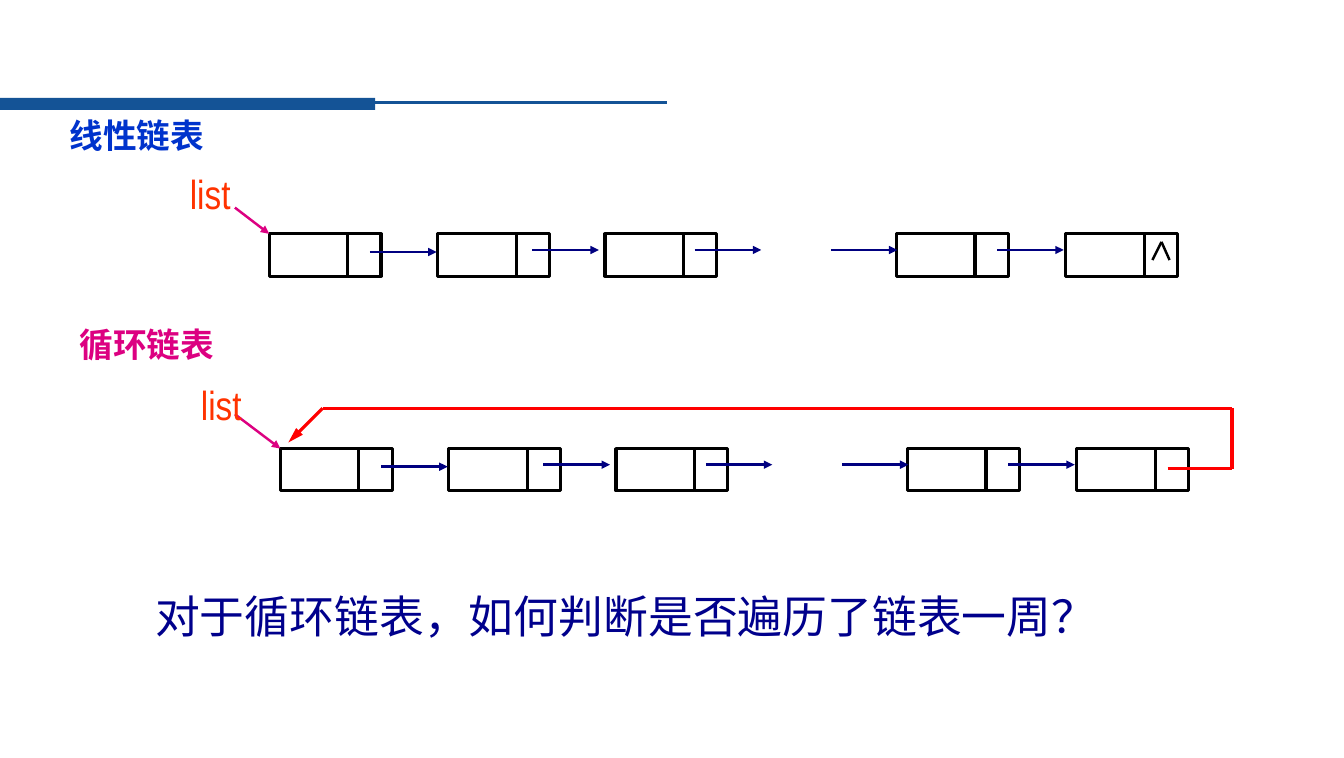
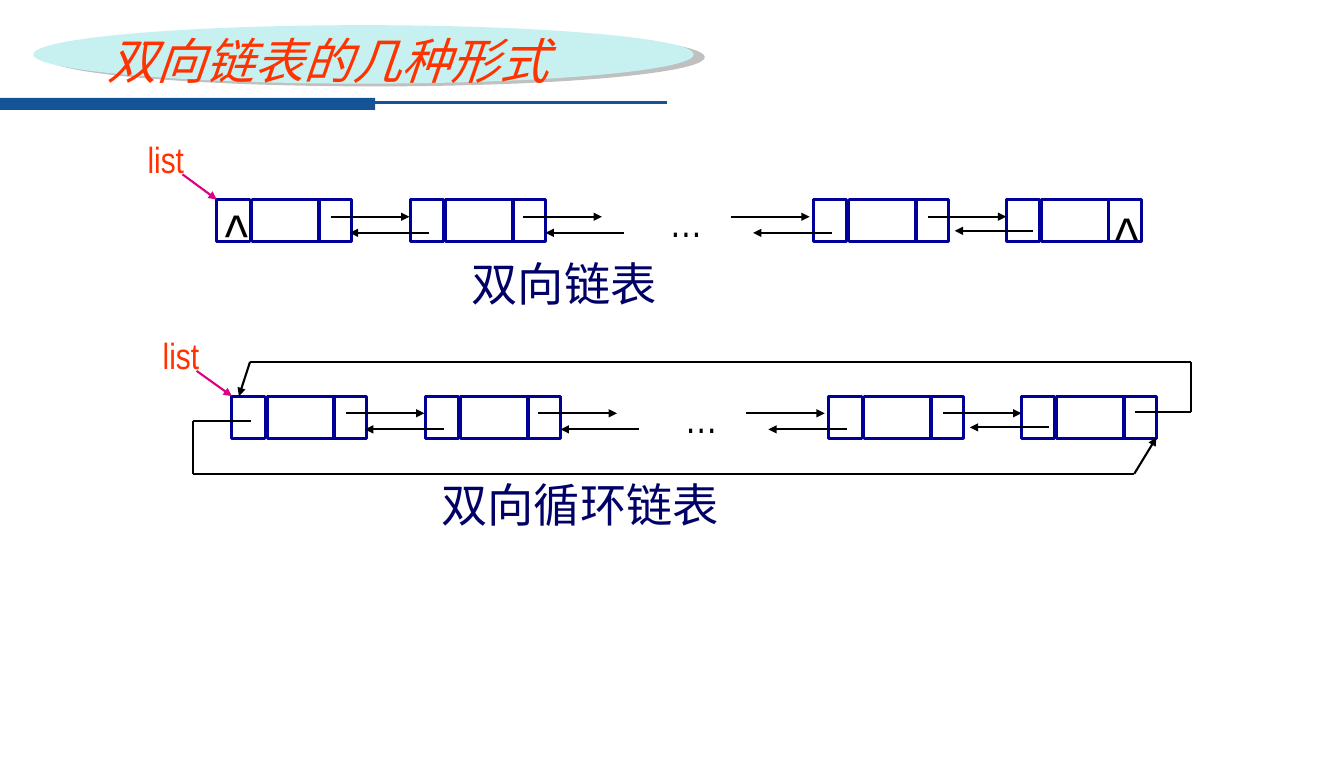
"""Build two slides on singly and doubly linked lists."""
from itertools import pairwise

from lxml.etree import SubElement
from pptx import Presentation
from pptx.dml.color import RGBColor
from pptx.enum.shapes import MSO_CONNECTOR, MSO_SHAPE
from pptx.enum.text import MSO_ANCHOR, PP_ALIGN
from pptx.oxml.ns import qn
from pptx.util import Inches, Pt

COLORS = {
    "band": "145396", "black": "000000", "arrow": "000080", "cell": "000099",
    "list": "FF3300", "pointer": "DC0081", "return": "FF0000",
    "linear": "0033CC", "question": "00008C", "caption": "000066",
    "oval": "C7F1F0", "shadow": "C0C0C0",
}
LATIN, CJK = "Arial Narrow", "Noto Sans CJK SC"

STYLES = {
    "linear": ("linear", {"size": Pt(24), "bold": True}),
    "circular": ("pointer", {"size": Pt(24), "bold": True}),
    "question": ("question", {"size": Pt(32), "name": CJK}),
    "title": ("list", {"size": Pt(35), "italic": True}),
    "caption": ("caption", {"size": Pt(33)}),
    "list": ("list", {"size": Pt(29)}),
    "small list": ("list", {"size": Pt(26)}),
    "dots": ("black", {"size": Pt(29)}),
    "null": ("black", {"size": Pt(43)}),
}

SINGLE = {
    "nodes": [0, 1.67, 3.33, 6.22, 7.9],
    "cells": [(0, 0.78), (0.78, 0.33)],
    "cell_line": ("black", 2.25),
    "arrows": [(1, 0.18, 0.66), (2.61, 0.16, 0.66), (4.22, 0.16, 0.66),
               (5.57, 0.16, 0.66), (7.22, 0.16, 0.66)],
    "arrow_line": ("arrow", 2),
    "pointer_line": ("pointer", 1.75),
    "texts": [],
}
DOUBLE = {
    "nodes": [0, 1.92, 5.92, 7.83],
    "cells": [(0, 0.33), (0.35, 0.67), (1.01, 0.33)],
    "cell_line": ("cell", 2),
    "arrows": [(1.13, 0.17, 0.78), (3.04, 0.17, 0.78), (5.1, 0.17, 0.78),
               (7.05, 0.17, 0.78), (2.1, 0.33, -0.78), (4.04, 0.33, -0.78),
               (6.1, 0.33, -0.78), (8.1, 0.31, -0.78)],
    "arrow_line": ("black", 1.5),
    "pointer_line": ("pointer", 1.5),
    "texts": [("…", "dots", (4.39, -0.08, 0.53, 0.59)),
              ("list", "small list", (-0.79, -0.67, 0.57, 0.54))],
}
CELL_H = 0.42

SLIDES = [
    {
        "chains": [(SINGLE, (2.67, 2.32), (2.33, 2.06)),
                   (SINGLE, (2.78, 4.45), (2.33, 4.11))],
        "paths": [
            ([(11.43, 2.58), (11.52, 2.4), (11.6, 2.58)], ("black", 1.75), None),
            ([(11.58, 4.65), (12.22, 4.65), (12.22, 4.05), (3.2, 4.05),
              (2.86, 4.39)], ("return", 2.25), "lg"),
        ],
        "labels": [("list", "list", (1.78, 1.63, 0.61, 0.59)),
                   ("list", "list", (1.89, 3.72, 0.61, 0.59))],
        "texts": [
            ("线性链表", "linear", (0.59, 1.09, 2.65, 0.5)),
            ("循环链表", "circular", (0.69, 3.16, 2.87, 0.5)),
            ("对于循环链表，如何判断是否遍历了链表一周？", "question",
             (1.44, 5.79, 11.57, 0.64)),
        ],
    },
    {
        "oval": (0.33, 0.25, 6.55, 0.58),
        "chains": [(DOUBLE, (2.15, 1.98), (1.81, 1.73)),
                   (DOUBLE, (2.3, 3.93), (1.95, 3.68))],
        "paths": [
            ([(11.26, 4.09), (11.81, 4.09), (11.81, 3.59), (2.48, 3.59),
              (2.37, 3.93)], ("black", 1.5), "med"),
            ([(2.49, 4.18), (1.91, 4.18), (1.91, 4.7), (11.25, 4.7),
              (11.47, 4.34)], ("black", 1.5), "med"),
        ],
        "labels": [("^", "null", (2.13, 1.91, 0.43, 0.83)),
                   ("^", "null", (10.96, 1.94, 0.43, 0.83))],
        "texts": [
            ("双向链表的几种形式", "title", (0.97, 0.25, 5.44, 0.69)),
            ("双向链表", "caption", (4.58, 2.48, 5.23, 0.66)),
            ("双向循环链表", "caption", (4.28, 4.68, 6.16, 0.66)),
        ],
    },
]


def rgb(name):
    return RGBColor.from_string(COLORS[name])


def add_box(s, kind, at, fill=None, line=None):
    sp = s.shapes.add_shape(kind, *map(Inches, at))
    sp.shadow.inherit = False
    if fill:
        sp.fill.solid()
        sp.fill.fore_color.rgb = rgb(fill)
    else:
        sp.fill.background()
    if line:
        sp.line.color.rgb = rgb(line[0])
        sp.line.width = Pt(line[1])
    else:
        sp.line.fill.background()
    return sp


def add_line(s, start, end, line, head=None):
    sp = s.shapes.add_connector(MSO_CONNECTOR.STRAIGHT,
                                *map(Inches, (*start, *end)))
    sp.line.color.rgb = rgb(line[0])
    sp.line.width = Pt(line[1])
    if head:
        SubElement(sp.line._get_or_add_ln(), qn("a:tailEnd"),
                   type="triangle", w="med", len=head)
    SubElement(sp._element.spPr, qn("a:effectLst"))


def add_path(s, points, line, head):
    pairs = list(pairwise(points))
    for pair in pairs:
        add_line(s, *pair, line, head if pair == pairs[-1] else None)


def add_text(s, text, style, at, centred=False):
    color, formats = STYLES[style]
    tf = s.shapes.add_textbox(*map(Inches, at)).text_frame
    tf.word_wrap = not centred
    tf.vertical_anchor = MSO_ANCHOR.TOP
    p = tf.paragraphs[0]
    p.alignment = PP_ALIGN.CENTER if centred else PP_ALIGN.LEFT
    r = p.add_run()
    r.text = text
    for key, value in {"name": LATIN, **formats}.items():
        setattr(r.font, key, value)
    r.font.color.rgb = rgb(color)
    SubElement(r.font._element, qn("a:ea"), typeface=CJK)


def add_band(s):
    add_box(s, MSO_SHAPE.RECTANGLE, (0, 0.97, 3.72, 0.12), "band")
    add_line(s, (3.68, 1.02), (6.62, 1.02), ("band", 2.25))


def add_oval(s, at):
    sp = add_box(s, MSO_SHAPE.OVAL, at, "oval")
    effects = sp._element.spPr.find(qn("a:effectLst"))
    shadow = SubElement(effects, qn("a:outerShdw"), dist=str(Pt(8.2)),
                        dir=str(14 * 60000), algn="ctr", rotWithShape="0")
    SubElement(shadow, qn("a:srgbClr"), val=COLORS["shadow"])


def add_chain(s, chain, origin, pointer):
    x, y = origin
    for node in chain["nodes"]:
        for left, width in chain["cells"]:
            add_box(s, MSO_SHAPE.RECTANGLE, (x + node + left, y, width, CELL_H),
                    line=chain["cell_line"])
    for left, top, length in chain["arrows"]:
        add_line(s, (x + left, y + top), (x + left + length, y + top),
                 chain["arrow_line"], "med")
    add_line(s, pointer, origin, chain["pointer_line"], "med")
    for text, style, (left, top, width, height) in chain["texts"]:
        add_text(s, text, style, (x + left, y + top, width, height), True)


def main():
    prs = Presentation()
    prs.slide_width, prs.slide_height = Inches(13.33), Inches(7.52)
    for content in SLIDES:
        s = prs.slides.add_slide(prs.slide_layouts[6])
        add_band(s)
        if "oval" in content:
            add_oval(s, content["oval"])
        for chain in content["chains"]:
            add_chain(s, *chain)
        for path in content["paths"]:
            add_path(s, *path)
        for label in content["labels"]:
            add_text(s, *label, centred=True)
        for text in content["texts"]:
            add_text(s, *text)
    prs.save("out.pptx")


if __name__ == "__main__":
    main()
